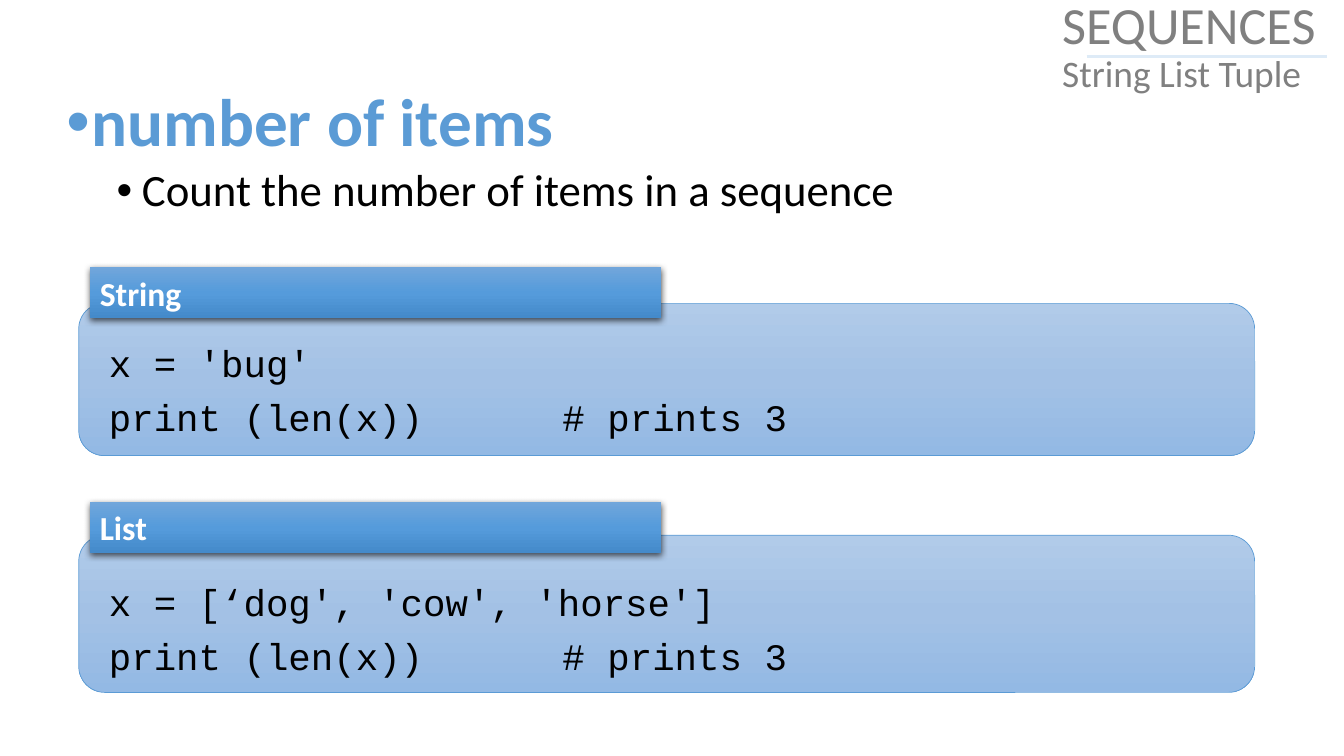
import copy
from dataclasses import dataclass

import lxml.etree
import pptx
import pptx.dml.color
import pptx.enum.shapes
import pptx.enum.text
import pptx.oxml
import pptx.oxml.ns
import pptx.util

Pt = pptx.util.Pt
RGBColor = pptx.dml.color.RGBColor
MSO_SHAPE = pptx.enum.shapes.MSO_SHAPE
MSO_ANCHOR = pptx.enum.text.MSO_ANCHOR
qn = pptx.oxml.ns.qn

BLUE = RGBColor(0x5B, 0x9B, 0xD5)
PALE_BLUE = RGBColor(0xDE, 0xEB, 0xF7)
GRAY = RGBColor(0x80, 0x80, 0x80)
BLACK = RGBColor(0, 0, 0)
WHITE = RGBColor(0xFF, 0xFF, 0xFF)
CARD_COLORS = (RGBColor(0xB1, 0xCB, 0xE9), RGBColor(0xA3, 0xC1, 0xE5), RGBColor(0x93, 0xB9, 0xE4))
LABEL_COLORS = (RGBColor(0x71, 0xA6, 0xDB), RGBColor(0x55, 0x9B, 0xDB), RGBColor(0x44, 0x8A, 0xCA))

SHADOW = (
    f'<a:effectLst {pptx.oxml.ns.nsdecls("a")}>'
    '<a:outerShdw blurRad="57150" dist="19050" dir="5400000" algn="ctr" rotWithShape="0">'
    '<a:srgbClr val="000000"><a:alpha val="63000"/></a:srgbClr>'
    '</a:outerShdw></a:effectLst>'
)


@dataclass
class Line:
    text: str
    size: float
    color: RGBColor
    font: str = "Calibri"
    bold: bool = False
    margin: float = 0
    hanging: float = 0
    before: float = 0
    spacing: float = 1.0


@dataclass
class Example:
    label: str
    code: list[str]
    label_top: float
    card_top: float
    card_height: float
    code_top: float


EXAMPLES = [
    Example("String", ["x = 'bug'", "print (len(x))\t\t\t# prints 3"], 190.8, 216.7, 108.7, 238.5),
    Example("List", ["x = [‘dog', 'cow', 'horse']", "print (len(x))\t\t\t# prints 3"], 358.6, 382.3, 112.3, 409.2),
]


def write_lines(tf, lines: list[Line]) -> None:
    tf.word_wrap = True
    tf.text = "\n".join(line.text for line in lines)
    for p, line in zip(tf.paragraphs, lines):
        p.alignment = pptx.enum.text.PP_ALIGN.LEFT
        p.line_spacing = line.spacing
        p.space_before = Pt(line.before)
        pPr = p._p.get_or_add_pPr()
        pPr.set("marL", str(Pt(line.margin)))
        pPr.set("indent", str(-Pt(line.hanging)))
        if line.hanging:
            lxml.etree.SubElement(pPr, qn("a:buFont")).set("typeface", "Arial")
            lxml.etree.SubElement(pPr, qn("a:buChar")).set("char", "•")
        for r in p.runs:
            r.font.name = line.font
            r.font.size = Pt(line.size)
            r.font.bold = line.bold
            r.font.color.rgb = line.color


def add_text(s, left: float, top: float, width: float, height: float, lines: list[Line]):
    sp = s.shapes.add_textbox(Pt(left), Pt(top), Pt(width), Pt(height))
    write_lines(sp.text_frame, lines)
    return sp


def add_panel(s, kind, left: float, top: float, width: float, height: float, colors: tuple):
    sp = s.shapes.add_shape(kind, Pt(left), Pt(top), Pt(width), Pt(height))
    sp.shadow.inherit = False
    sp.fill.gradient()
    sp.fill.gradient_angle = 270
    stops = sp._element.spPr.find(qn("a:gradFill")).find(qn("a:gsLst"))
    stops.append(copy.deepcopy(stops[-1]))
    for i, (stop, color) in enumerate(zip(sp.fill.gradient_stops, colors)):
        stop.position = i / (len(colors) - 1)
        stop.color.rgb = color
    return sp


def add_example(s, example: Example) -> None:
    card = add_panel(s, MSO_SHAPE.ROUNDED_RECTANGLE, 56.2, example.card_top, 840, example.card_height, CARD_COLORS)
    card.line.color.rgb = BLUE
    card.line.width = Pt(0.5)

    lines = [Line(text, 26.7, BLACK, "Courier New", margin=12, before=6.5 if i else 0)
             for i, text in enumerate(example.code)]
    tf = add_text(s, 56.2, example.code_top, 800, 86, lines).text_frame
    tf.margin_left = tf.margin_right = Pt(9.6)
    tf.margin_top = tf.margin_bottom = Pt(4.8)

    label = add_panel(s, MSO_SHAPE.RECTANGLE, 64.2, example.label_top, 408, 36.4, LABEL_COLORS)
    label.line.fill.background()
    spPr = label._element.spPr
    spPr.replace(spPr.find(qn("a:effectLst")), pptx.oxml.parse_xml(SHADOW))
    write_lines(label.text_frame, [Line(example.label, 24, WHITE, bold=True)])
    label.text_frame.vertical_anchor = MSO_ANCHOR.MIDDLE


def add_rule(s, left: float, right: float, top: float) -> None:
    rule = s.shapes.add_connector(pptx.enum.shapes.MSO_CONNECTOR.STRAIGHT, Pt(left), Pt(top), Pt(right), Pt(top))
    rule.line.color.rgb = PALE_BLUE
    rule.line.width = Pt(2)
    lxml.etree.SubElement(rule._element.spPr, qn("a:effectLst"))


def main() -> None:
    prs = pptx.Presentation()
    prs.slide_width, prs.slide_height = Pt(960), Pt(540)
    s = prs.slides.add_slide(prs.slide_layouts[6])

    add_text(s, 40.3, 59.8, 864, 99.4, [
        Line("number of items", 48, BLUE, bold=True, margin=18, hanging=18, spacing=0.9),
        Line("Count the number of items in a sequence", 32, BLACK,
             margin=54, hanging=18, before=5, spacing=0.9),
    ])
    for example in EXAMPLES:
        add_example(s, example)

    title = add_text(s, 751.7, -2.2, 208, 72, [
        Line("SEQUENCES", 37.3, GRAY, spacing=0.9),
        Line("String List Tuple", 26.7, GRAY, spacing=0.9),
    ])
    title.text_frame.vertical_anchor = MSO_ANCHOR.MIDDLE
    add_rule(s, 776.2, 948.2, 40.3)

    prs.save("out.pptx")


if __name__ == "__main__":
    main()
